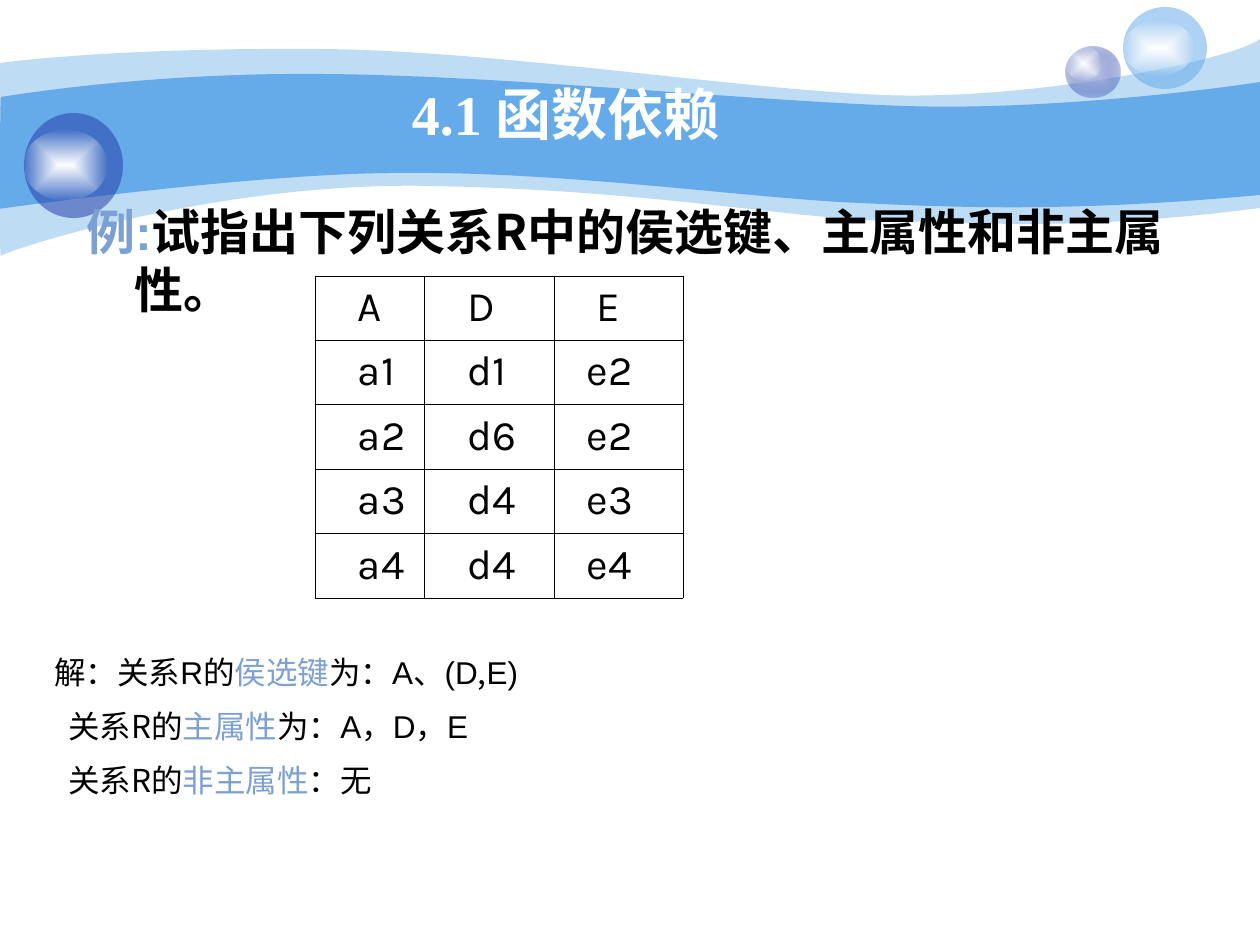
from lxml.etree import SubElement
from pptx import Presentation
from pptx.dml.color import RGBColor
from pptx.enum.shapes import MSO_SHAPE as Shape
from pptx.enum.text import MSO_ANCHOR as Anchor, PP_ALIGN as Align
from pptx.oxml.ns import qn
from pptx.util import Pt

PX = 914400 // 126
SKY, NAVY, WHITE, BLACK, ACCENT = "65AAE9", "233DA9", "FFFFFF", "000000", "7DA0D3"
ARIAL, CJK, KARLA, TIMES = "Arial", "Noto Sans CJK SC", "Karla", "Times New Roman"

WAVES = [
    (41, (0, 63), [
        (30, 59, 135, 48, 311, 49), (486, 49, 725, 88, 881, 95),
        (1036, 101, 1235, 59, 1260, 39), (1260, 208),
        (1081, 231, 992, 223, 888, 221), (784, 218, 649, 190, 432, 186),
        (217, 181, 5, 251, 1, 256), (-1, 262, 0, 95, 0, 63)]),
    (100, (1, 97), [
        (3, 97, 139, 73, 312, 74), (486, 74, 750, 101, 905, 106),
        (1052, 111, 1230, 87, 1260, 82), (1260, 195),
        (1075, 212, 964, 208, 859, 203), (755, 199, 563, 171, 399, 173),
        (256, 173, -3, 209, -1, 209), (0, 209, 0, 97, 1, 97)]),
]
GLOW = [(0, WHITE, 100), (100, WHITE, 0)]
BUBBLES = [
    ((1066, 47, 54, 51), [(0, "C7CEE9", 100), (100, NAVY, 31)]),
    ((1066, 47, 35, 34), GLOW),
    ((1123, 7, 84, 82), (SKY, 53)),
    ((1123, 21, 71, 54), GLOW),
    ((24, 113, 99, 105), (NAVY, 53)),
    ((24, 130, 83, 70), GLOW),
]
TITLE = "4.1 函数依赖"
QUESTION = [("例:", ARIAL, ACCENT),
            ("试指出下列关系R中的侯选键、主属性和非主属性。", CJK, BLACK)]
RELATION = [
    ("A", "D", "E"),
    ("a1", "d1", "e2"),
    ("a2", "d6", "e2"),
    ("a3", "d4", "e3"),
    ("a4", "d4", "e4"),
]
COLUMN_WIDTHS = (109, 130, 129)
HEADER_INSETS, BODY_INSETS = (43, 44, 43), (43, 44, 33)
ANSWERS = [
    (0, [("解：关系R的", ARIAL, BLACK), ("侯选键", ARIAL, ACCENT),
         ("为：A、(D", ARIAL, BLACK), (",", CJK, BLACK), ("E)", ARIAL, BLACK)]),
    (14, [("关系R的", CJK, BLACK), ("主属性", CJK, ACCENT),
          ("为：", CJK, BLACK), ("A，D，E", ARIAL, BLACK)]),
    (14, [("关系R的", CJK, BLACK), ("非主属性", CJK, ACCENT), ("：无", CJK, BLACK)]),
]


def px(*lengths):
    return [length * PX for length in lengths]


def rgb(value):
    return RGBColor.from_string(value)


def add_alpha(color, percent):
    if percent < 100:
        SubElement(color, qn("a:alpha"), val=str(percent * 1000))


def fill_solid(shape, color, opacity):
    shape.fill.solid()
    shape.fill.fore_color.rgb = rgb(color)
    add_alpha(next(shape.element.spPr.iter(qn("a:srgbClr"))), opacity)


def fill_from_center(shape, stops):
    shape.fill.gradient()
    gradient = shape.element.spPr.find(qn("a:gradFill"))
    for child in list(gradient):
        gradient.remove(child)
    stop_list = SubElement(gradient, qn("a:gsLst"))
    for position, color, opacity in stops:
        stop = SubElement(stop_list, qn("a:gs"), pos=str(position * 1000))
        add_alpha(SubElement(stop, qn("a:srgbClr"), val=color), opacity)
    center = SubElement(gradient, qn("a:path"), path="rect")
    SubElement(center, qn("a:fillToRect"), {side: "50000" for side in "ltrb"})


def clear_outline(shape):
    shape.shadow.inherit = False
    shape.line.fill.background()


def point_pairs(segment):
    return list(zip(segment[::2], segment[1::2]))


def add_wave(slide, start, segments):
    builder = slide.shapes.build_freeform(*start, scale=PX)
    builder.add_line_segments([pair for segment in segments for pair in point_pairs(segment)])
    wave = builder.convert_to_shape()
    outline = next(wave.element.spPr.iter(qn("a:path")))
    for line in outline.findall(qn("a:lnTo")):
        outline.remove(line)
    left = min(start[0], *(x for segment in segments for x in segment[::2]))
    top = min(start[1], *(y for segment in segments for y in segment[1::2]))
    unit = int(outline.get("w")) / (wave.width / PX)
    for segment in segments:
        curve = SubElement(outline, qn("a:lnTo" if len(segment) == 2 else "a:cubicBezTo"))
        for x, y in point_pairs(segment):
            SubElement(curve, qn("a:pt"), x=str(round((x - left) * unit)),
                       y=str(round((y - top) * unit)))
    SubElement(outline, qn("a:close"))
    return wave


def add_run(paragraph, text, font, size, color, bold=False):
    run = paragraph.add_run()
    run.text = text
    run.font.name, run.font.size, run.font.bold = font, Pt(size), bold
    run.font.color.rgb = rgb(color)
    SubElement(run.font._element, qn("a:ea"), typeface=CJK)


def add_text_box(slide, left, top, width, height, margin_top):
    frame = slide.shapes.add_textbox(*px(left, top, width, height)).text_frame
    frame.word_wrap = True
    frame.margin_top = margin_top * PX
    return frame


def set_indent(paragraph, margin, indent):
    properties = paragraph._p.get_or_add_pPr()
    properties.set("marL", str(margin * PX))
    properties.set("indent", str(indent * PX))


def add_decoration(slide):
    for opacity, start, segments in WAVES:
        wave = add_wave(slide, start, segments)
        fill_solid(wave, SKY, opacity)
        clear_outline(wave)
    for box, paint in BUBBLES:
        bubble = slide.shapes.add_shape(Shape.OVAL, *px(*box))
        if isinstance(paint, list):
            fill_from_center(bubble, paint)
        else:
            fill_solid(bubble, *paint)
        clear_outline(bubble)


def add_title(slide):
    title = slide.shapes.title
    title.element.getparent().append(title.element)
    title.left, title.top, title.width, title.height = px(42, 55, 1048, 116)
    title.text_frame.vertical_anchor = Anchor.MIDDLE
    paragraph = title.text_frame.paragraphs[0]
    paragraph.alignment = Align.CENTER
    add_run(paragraph, TITLE, TIMES, 32, WHITE, True)


def add_question(slide):
    paragraph = add_text_box(slide, 74, 195, 1134, 620, 8).paragraphs[0]
    set_indent(paragraph, 48, -48)
    paragraph.line_spacing = Pt(33)
    for text, font, color in QUESTION:
        add_run(paragraph, text, font, 28, color, True)


def add_relation(slide):
    table = slide.shapes.add_table(len(RELATION), len(COLUMN_WIDTHS),
                                   *px(315, 276, sum(COLUMN_WIDTHS), 322)).table
    table.first_row = table.horz_banding = False
    for column, width in zip(table.columns, COLUMN_WIDTHS):
        column.width = width * PX
    for i, row in enumerate(RELATION):
        for j, text in enumerate(row):
            cell = table.cell(i, j)
            cell.margin_left = (BODY_INSETS if i else HEADER_INSETS)[j] * PX
            cell.margin_right = 0
            cell.margin_top = 7 * PX
            properties = cell._tc.get_or_add_tcPr()
            for side in "LRTB":
                border = SubElement(properties, qn(f"a:ln{side}"), w=str(Pt(0.45)))
                SubElement(SubElement(border, qn("a:solidFill")), qn("a:srgbClr"), val=BLACK)
            cell.fill.background()
            add_run(cell.text_frame.paragraphs[0], text, KARLA, 24, BLACK)


def add_answers(slide):
    frame = add_text_box(slide, 42, 651, 1134, 155, 6)
    for i, (indent, runs) in enumerate(ANSWERS):
        paragraph = frame.add_paragraph() if i else frame.paragraphs[0]
        set_indent(paragraph, indent, 0)
        paragraph.alignment = Align.JUSTIFY
        paragraph.line_spacing = Pt(19.5)
        if i:
            paragraph.space_before = Pt(11.2)
        for text, font, color in runs:
            add_run(paragraph, text, font, 18, color)


def main():
    presentation = Presentation()
    presentation.slide_width, presentation.slide_height = px(1260, 945)
    slide = presentation.slides.add_slide(presentation.slide_layouts[5])
    add_decoration(slide)
    add_title(slide)
    add_question(slide)
    add_relation(slide)
    add_answers(slide)
    presentation.save("out.pptx")


if __name__ == "__main__":
    main()
